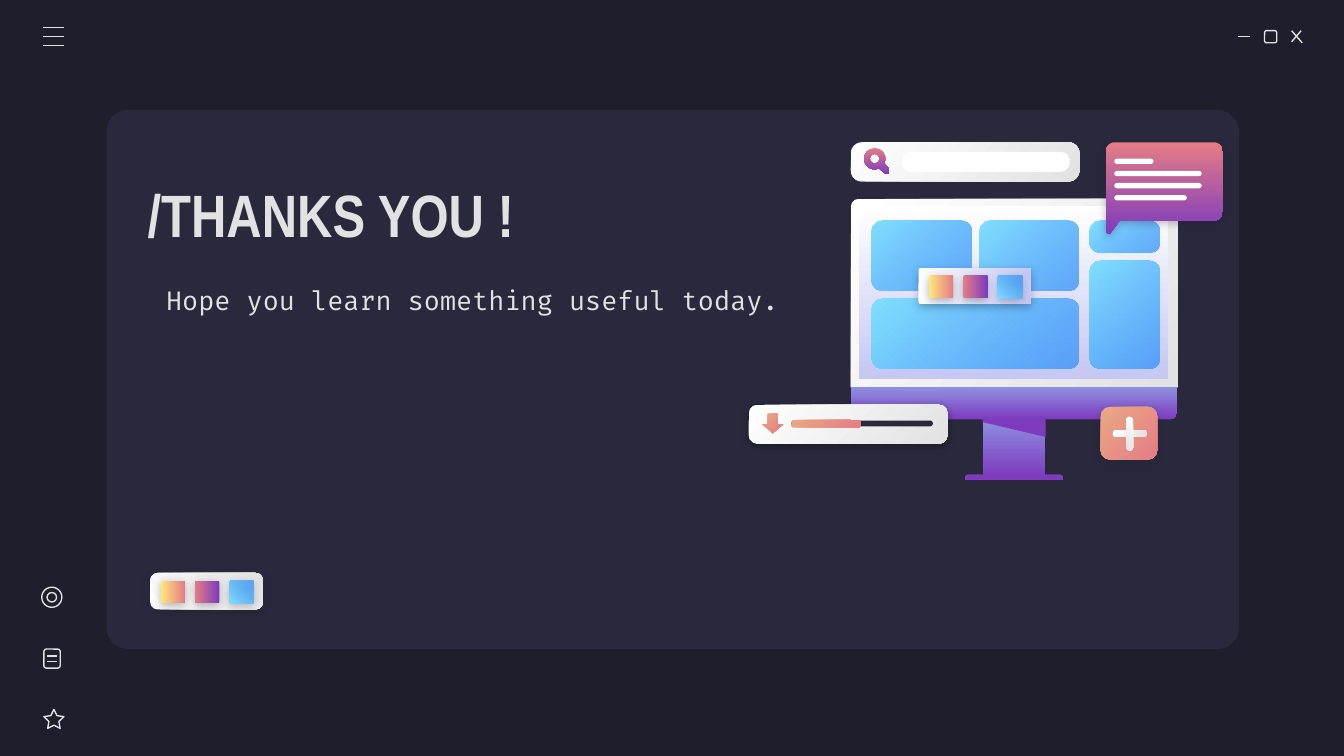
import math
from lxml import etree
from pptx import Presentation
from pptx import util as u
from pptx.dml.color import RGBColor
from pptx.enum import shapes, text
from pptx.oxml import ns, parse_xml

KIND = shapes.MSO_SHAPE
ROUND, TOP_ROUND = KIND.ROUNDED_RECTANGLE, KIND.ROUND_2_SAME_RECTANGLE
PALE, NIGHT, PANEL = "E2E2E2", "1E1E2C", "29283D"
SILVER = ("FFFFFF", PALE, 45)
SKY = ("80DFFF", "318FFA", 45)
PEACH = ("E9A984", "E57C85", 45)
SUNSET = ("FFEA7D", "E57C85", 90)
DUSK = ("E57C85", "7E3BBE", 90)
VIOLET = ("8D90E1", "7E3BBE", 90)
LILAC = ("FFFFFF", "C5C7F4", 90)

deck = Presentation()
deck.slide_width, deck.slide_height = u.Cm(25.4), u.Cm(14.29)
page = deck.slides.add_slide(deck.slide_layouts[0])


def paint(fill, look):
    if isinstance(look, str):
        fill.solid()
        fill.fore_color.rgb = RGBColor.from_string(look)
        return
    fill.gradient()
    fill.gradient_angle = 360 - look[2]
    for stop, colour in zip(fill.gradient_stops, look):
        stop.color.rgb = RGBColor.from_string(colour)
    if look == SKY:
        last = fill._fill._gradFill.findall(".//" + ns.qn("a:srgbClr"))[-1]
        etree.SubElement(last, ns.qn("a:alpha"), val="72000")


def block(kind, place, look=None, radius=None, turn=0, shade=None):
    if isinstance(kind, list):
        outline = [[(u.Cm(x), u.Cm(y)) for x, y in ring] for ring in kind]
        builder = page.shapes.build_freeform(*outline[0][0], scale=1.0)
        for ring in outline:
            if ring is not outline[0]:
                builder.move_to(*ring[0])
            builder.add_line_segments(ring[1:], close=True)
        shape = builder.convert_to_shape()
    else:
        shape = page.shapes.add_shape(kind, *map(u.Cm, place))
    if radius:
        shape.adjustments[0] = radius / min(place[2:])
    shape.rotation = turn
    shape.shadow.inherit = False
    if look:
        paint(shape.fill, look)
        shape.line.fill.background()
    else:
        shape.fill.background()
        paint(shape.line.fill, PALE)
        shape.line.width = u.Pt(0.75)
    if shade:
        shape._element.spPr.find(ns.qn("a:effectLst")).append(parse_xml(
            f'<a:outerShdw {ns.nsdecls("a")} blurRad="57150" dist="19050" dir="5400000" '
            f'algn="bl" rotWithShape="0"><a:srgbClr val="{shade}">'
            '<a:alpha val="30000"/></a:srgbClr></a:outerShdw>'))
    return shape


paint(page.background.fill, NIGHT)
panel = block(ROUND, (2.01, 2.08, 21.41, 10.19), PANEL, 0.41)
page.shapes._spTree.insert(2, panel._element)

window_lines = [(23.39, 0.69, 23.62, 0.69), (24.41, 0.58, 24.61, 0.81), (24.59, 0.58, 24.41, 0.79)]
menu_lines = [(0.82, 0.52 + 0.17 * i, 1.21, 0.52 + 0.17 * i) for i in range(3)]
note_lines = [(0.89, y, 1.07, y) for y in (12.4, 12.5)]
for ends in window_lines + menu_lines + note_lines:
    stroke = page.shapes.add_connector(shapes.MSO_CONNECTOR.STRAIGHT, *map(u.Cm, ends))
    paint(stroke.line.fill, PALE)
    stroke.line.width = u.Pt(0.75)
    etree.SubElement(stroke._element.spPr, ns.qn("a:effectLst"))

block(ROUND, (23.9, 0.58, 0.23, 0.23), radius=0.04)
star = block(KIND.STAR_5_POINT, (0.83, 13.41, 0.38, 0.36))
star.adjustments[0] = 0.25
block(ROUND, (0.83, 12.27, 0.31, 0.36), radius=0.05)
block(KIND.OVAL, (0.79, 11.1, 0.38, 0.38))
block(KIND.OVAL, (0.89, 11.2, 0.18, 0.18))

block(TOP_ROUND, (16.08, 3.76, 6.17, 3.56), SILVER, 0.15)
chin = block(TOP_ROUND, (16.08, 7.32, 6.17, 0.61), VIOLET)
chin.adjustments[0], chin.adjustments[1] = 0, 0.25
block(KIND.RECTANGLE, (16.23, 3.89, 5.84, 3.27), LILAC)
block(KIND.RECTANGLE, (18.57, 7.92, 1.19, 1.11), VIOLET)
block(TOP_ROUND, (18.24, 8.97, 1.85, 0.1), "7E3BBE", 0.05)
block([[(18.57, 7.9), (18.57, 7.98), (19.76, 8.26), (19.76, 7.9)]], None, "7E3BBE")
for tile in [(16.48, 4.17, 1.88, 1.32), (16.48, 5.64, 3.91, 1.32), (18.51, 4.17, 1.88, 1.32),
             (20.6, 4.17, 1.32, 0.61), (20.6, 4.93, 1.32, 2.03)]:
    block(ROUND, tile, SKY, 0.19)

bubble = [(x + 0.17 * math.cos(math.radians(start + step)), y + 0.17 * math.sin(math.radians(start + step)))
          for x, y, start in [(21.07, 2.86, 180), (22.94, 2.86, 270), (22.94, 4, 0)]
          for step in range(0, 91, 15)]
bubble += [(21.16, 4.17), (20.98, 4.41), (20.94, 4.42), (20.9, 4.37)]
block([bubble], None, DUSK, shade=NIGHT)
for i, width in enumerate([0.74, 1.65, 1.65, 1.37]):
    block(ROUND, (21.06, 3 + 0.23 * i, width, 0.1), "FFFFFF", 0.05)

block(ROUND, (14.15, 7.65, 3.76, 0.74), SILVER, 0.17, shade="000000")
block(ROUND, (14.96, 7.95, 2.67, 0.11), PANEL, 0.05)
block(ROUND, (14.96, 7.94, 1.3, 0.14), PEACH, 0.03)
arrow = block(KIND.DOWN_ARROW, (14.41, 7.82, 0.39, 0.37), PEACH)
arrow.adjustments[0], arrow.adjustments[1] = 0.5, 0.45

block(ROUND, (20.8, 7.69, 1.07, 1), PEACH, 0.18, shade=NIGHT)
for turn in (0, 90):
    block(ROUND, (21.03, 8.13, 0.64, 0.13), SILVER, 0.06, turn)

for left, top, look, radius in [(3.56, 10.11, SILVER, 0.14), (18.08, 4.34, LILAC, 0.05)]:
    block(ROUND, (left, top, 0.69, 2.13), look, radius, 270, NIGHT)
    for i, swatch in enumerate([SUNSET, DUSK, SKY]):
        block(ROUND, (left - 0.51 + 0.65 * i, top + 0.85, 0.43, 0.46), swatch, 0.03, 270, NIGHT)

block(ROUND, (16.08, 2.69, 4.32, 0.74), SILVER, 0.21)
rim, hole = [[(16.53 + radius * math.cos(math.radians(a)), 3 + radius * math.sin(math.radians(a)))
              for a in angles]
             for radius, angles in [(0.2, range(65, 386, 10)), (0.09, range(360, 0, -15))]]
handle = [(16.81, 3.19), (16.81, 3.28), (16.72, 3.28)]
block([rim + handle, hole], None, DUSK)
block(ROUND, (17.04, 2.87, 3.18, 0.38), "FFFFFF", 0.19)

title, subtitle = page.shapes.title, page.placeholders[1]
for box, place, words, font, size, bold in [
        (title, (2.54, 3.18, 12.52, 1.73), "/THANKS YOU !", "Arial Narrow", 32, True),
        (subtitle, (2.51, 5.23, 13.51, 0.89), "Hope you learn something useful today.", "Fira Code", 14, False)]:
    box.left, box.top, box.width, box.height = map(u.Cm, place)
    frame = box.text_frame
    frame.word_wrap = True
    frame.auto_size = text.MSO_AUTO_SIZE.NONE
    frame.vertical_anchor = text.MSO_ANCHOR.MIDDLE
    frame.margin_left = frame.margin_right = frame.margin_top = frame.margin_bottom = u.Cm(0.25)
    para = frame.paragraphs[0]
    para.alignment = text.PP_ALIGN.LEFT
    para.space_before = u.Pt(0)
    span = para.add_run()
    span.text = words
    span.font.name, span.font.size, span.font.bold = font, u.Pt(size), bold
    paint(span.font.fill, PALE)
indents = subtitle.text_frame.paragraphs[0]._p.get_or_add_pPr()
indents.set("marL", str(u.Cm(1.27)))
indents.set("indent", str(u.Cm(-0.89)))

deck.save("out.pptx")
